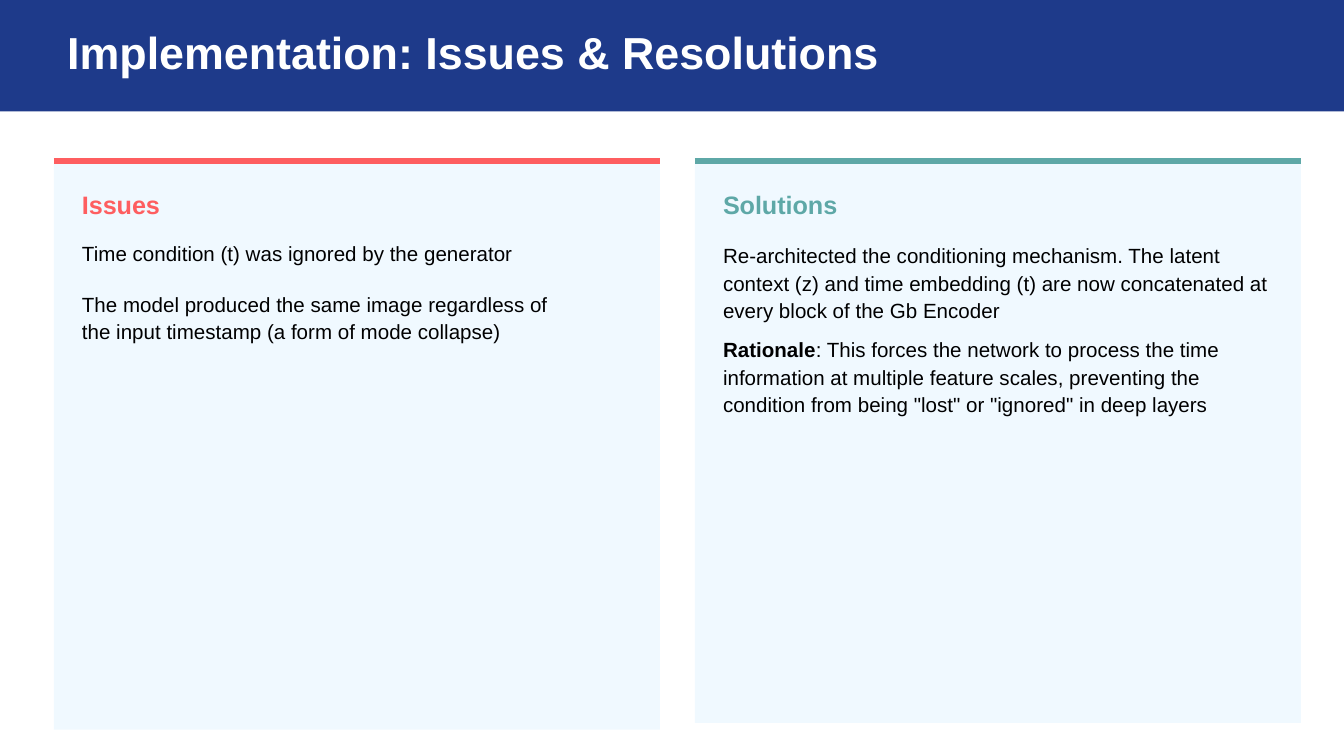
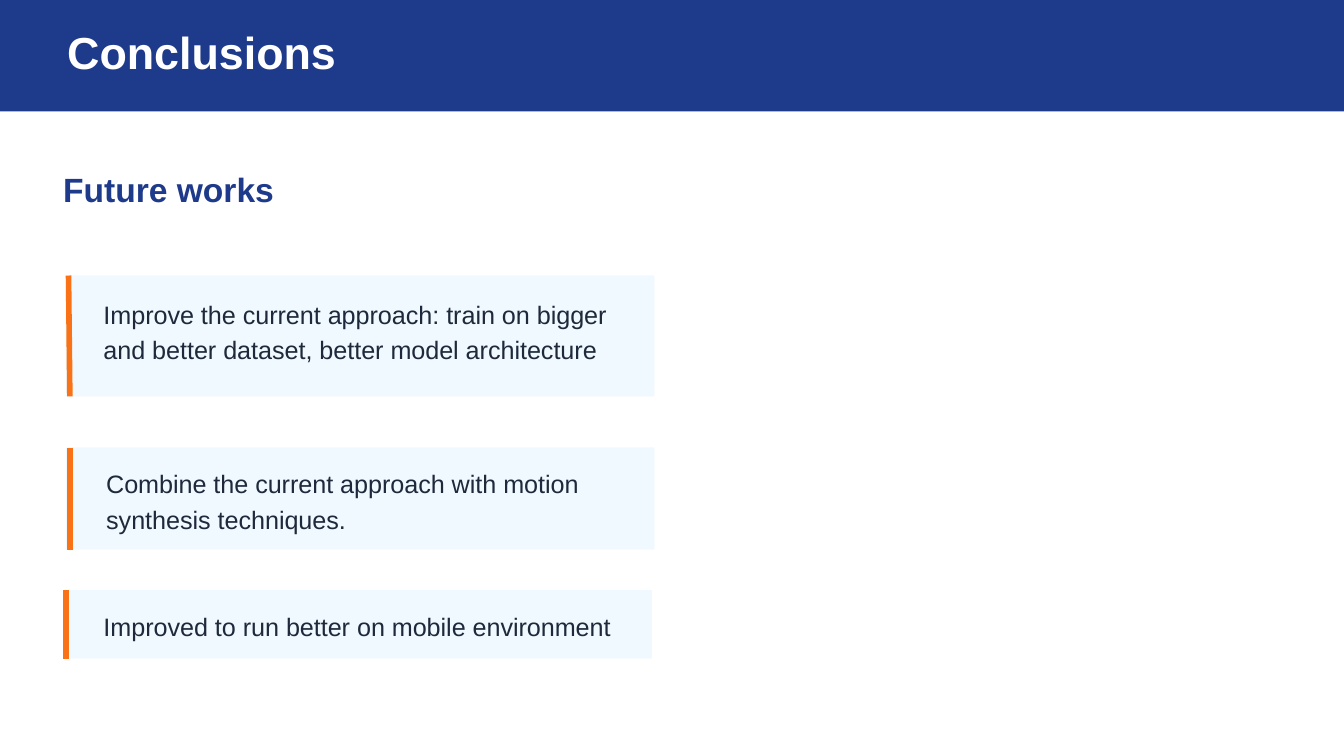
from lxml import etree
from pptx import Presentation, util as u
from pptx.dml.color import RGBColor
from pptx.enum import shapes, text
from pptx.oxml.ns import qn

PX = 9144
WIDTH = 1000
FONT = "Arial"
NAVY, WHITE, PALE, BLACK = "1E3A8A", "FFFFFF", "F0F9FF", "000000"
SLATE, ORANGE, CORAL, TEAL = "1E293B", "F97316", "FE5E60", "5EA8A7"

ISSUES_TITLE = ("Implementation: Issues & Resolutions", 633)
PANELS = [
    {"heading": "Issues", "color": CORAL, "left": 40, "height": 421, "text_width": 361,
     "notes": [
         (177, 49, [("Time condition (t) was ignored by the generator", False)]),
         (215, 49, [("The model produced the same image regardless of the input "
                     "timestamp (a form of mode collapse)", False)]),
     ]},
    {"heading": "Solutions", "color": TEAL, "left": 517, "height": 416, "text_width": 414,
     "notes": [
         (179, 69, [("Re-architected the conditioning mechanism. The latent context (z) and "
                     "time embedding (t) are now concatenated at every block of the Gb Encoder",
                     False)]),
         (249, 69, [("Rationale", True),
                    (": This forces the network to process the time information at multiple "
                     "feature scales, preventing the condition from being \"lost\" or "
                     "\"ignored\" in deep layers", False)]),
     ]},
]

CONCLUSIONS_TITLE = ("Conclusions", 460)
FUTURE_HEADING = "Future works"
FUTURE_WORKS = [
    {"text": "Improve the current approach: train on bigger and better dataset, "
             "better model architecture",
     "card": (49, 205, 90), "accent": (51, 52), "text_at": (77, 219, 76)},
    {"text": "Combine the current approach with motion synthesis techniques.",
     "card": (49, 333, 76), "accent": (52, 52), "text_at": (79, 345, 26)},
    {"text": "Improved to run better on mobile environment",
     "card": (47, 439, 51), "accent": (49, 49), "text_at": (77, 451, 26)},
]


def px(*lengths):
    return [u.Emu(length * PX) for length in lengths]


def rgb(color):
    return RGBColor.from_string(color)


def add_block(parent, box, color):
    block = parent.add_shape(shapes.MSO_SHAPE.RECTANGLE, *px(*box))
    block.shadow.inherit = False
    block.fill.solid()
    block.fill.fore_color.rgb = rgb(color)
    block.line.fill.background()
    return block


def add_accent(parent, ends, color):
    accent = parent.add_connector(shapes.MSO_CONNECTOR.STRAIGHT, *px(*ends))
    accent.line.color.rgb = rgb(color)
    accent.line.width = u.Pt(3)
    etree.SubElement(accent._element.spPr, qn("a:effectLst"))


def write(holder, runs, size, color, leading):
    frame = holder.text_frame
    frame.word_wrap = True
    frame.auto_size = text.MSO_AUTO_SIZE.NONE
    frame.vertical_anchor = text.MSO_ANCHOR.TOP
    frame.margin_left = frame.margin_top = frame.margin_right = frame.margin_bottom = 0
    paragraph = frame.paragraphs[0]
    paragraph.alignment = text.PP_ALIGN.LEFT
    paragraph.line_spacing = u.Pt(leading)
    paragraph.space_before = u.Pt(0)
    font = paragraph.font
    font.name, font.size, font.color.rgb = FONT, u.Pt(size), rgb(color)
    same_weight = len({bold for _, bold in runs}) == 1
    if same_weight:
        font.bold = runs[0][1]
    for wording, bold in runs:
        run = paragraph.add_run()
        run.text = wording
        if not same_weight:
            run.font.bold = bold


def add_text(parent, box, runs, size, color, leading):
    write(parent.add_textbox(*px(*box)), runs, size, color, leading)


def add_titled_slide(deck, wording, width):
    slide = deck.slides.add_slide(deck.slide_layouts[5])
    band = add_block(slide.shapes, (0, 0, WIDTH, 83), NAVY)
    title = slide.shapes.title
    title._element.addprevious(band._element)
    title.left, title.top, title.width, title.height = px(50, 25, width, 33)
    write(title, [(wording, True)], 24, WHITE, 24)
    return slide


def build_issues(deck):
    slide = add_titled_slide(deck, *ISSUES_TITLE)
    for panel in PANELS:
        group = slide.shapes.add_group_shape().shapes
        left, color = panel["left"], panel["color"]
        text_left = left + 21
        add_block(group, (left, 122, 451, panel["height"]), PALE)
        add_accent(group, (left, 120, left + 451, 120), color)
        add_text(group, (text_left, 137, 414, 26), [(panel["heading"], True)], 13.5, color, 18.9)
        for top, height, runs in panel["notes"]:
            add_text(group, (text_left, top, panel["text_width"], height), runs, 11, BLACK, 14.7)


def build_conclusions(deck):
    slide = add_titled_slide(deck, *CONCLUSIONS_TITLE)
    parts = slide.shapes
    add_text(parts, (47, 126, 446, 30), [(FUTURE_HEADING, True)], 18, NAVY, 21.6)
    for work in FUTURE_WORKS:
        left, top, height = work["card"]
        accent_top, accent_bottom = work["accent"]
        text_left, text_top, text_height = work["text_at"]
        add_block(parts, (left, top, 438, height), PALE)
        add_accent(parts, (accent_top, top, accent_bottom, top + height), ORANGE)
        add_text(parts, (text_left, text_top, 391, text_height),
                 [(work["text"], False)], 13.5, SLATE, 18.9)


def main():
    deck = Presentation()
    deck.slide_width = u.Emu(WIDTH * PX)
    deck.slide_height = u.Emu(WIDTH * PX * 9 // 16)
    build_issues(deck)
    build_conclusions(deck)
    deck.save("out.pptx")


if __name__ == "__main__":
    main()
